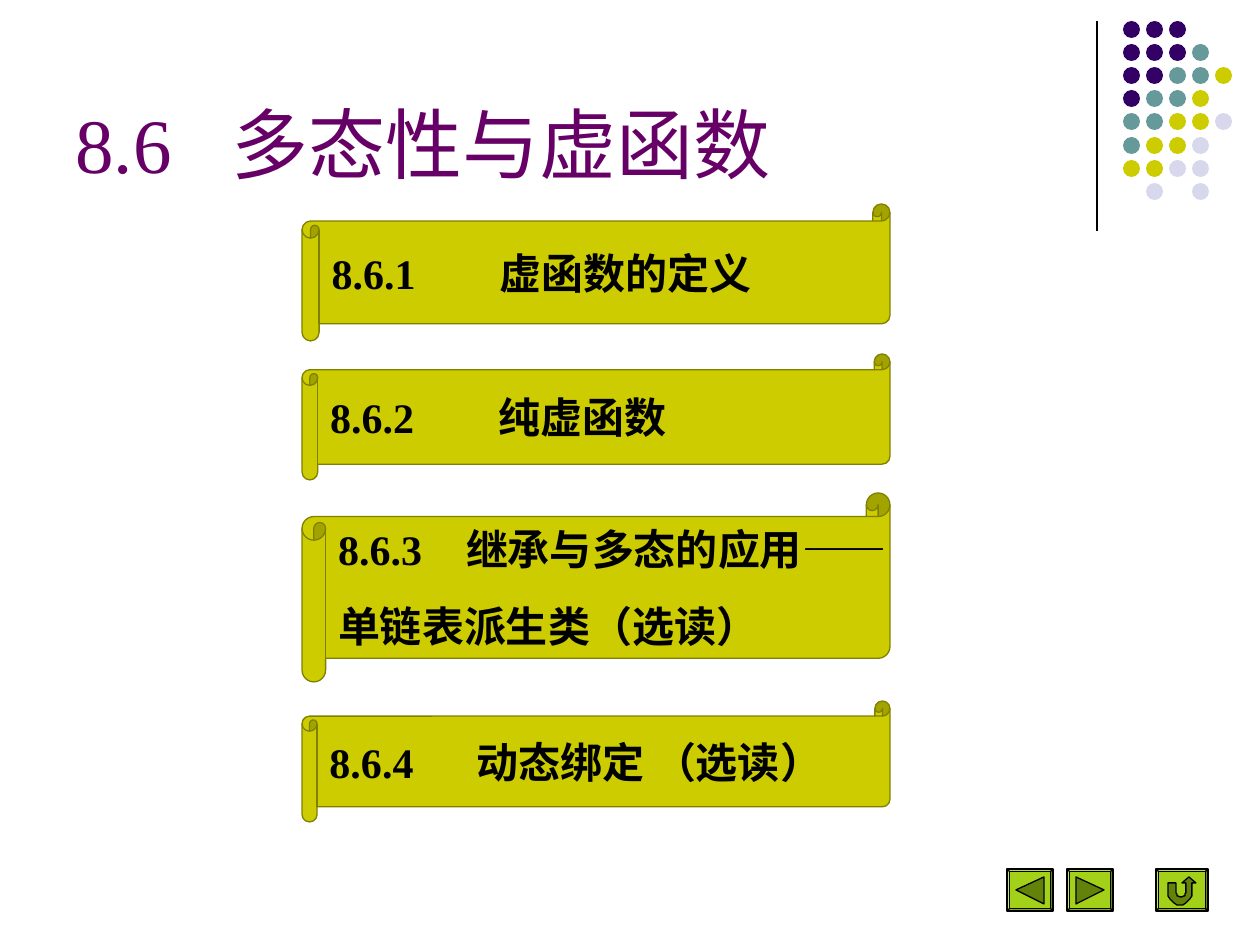
import math

from lxml import etree
from pptx import Presentation
from pptx.dml.color import RGBColor
from pptx.enum.shapes import MSO_CONNECTOR, MSO_SHAPE
from pptx.enum.text import MSO_ANCHOR, PP_ALIGN
from pptx.oxml.ns import qn
from pptx.util import Emu, Pt

STRAIGHT = MSO_CONNECTOR.STRAIGHT
OVAL, SCROLL, BEVEL = MSO_SHAPE.OVAL, MSO_SHAPE.HORIZONTAL_SCROLL, MSO_SHAPE.BEVEL
LEFT, MIDDLE, BOTTOM = PP_ALIGN.LEFT, MSO_ANCHOR.MIDDLE, MSO_ANCHOR.BOTTOM

BLACK = RGBColor(0x00, 0x00, 0x00)
PLUM = RGBColor(0x66, 0x00, 0x66)
OLIVE = RGBColor(0x80, 0x80, 0x00)
YELLOW = RGBColor(0xCC, 0xCC, 0x00)
INDIGO = RGBColor(0x33, 0x00, 0x66)
TEAL = RGBColor(0x66, 0x99, 0x99)
LAVENDER = RGBColor(0xD8, 0xD8, 0xEC)
GREEN = RGBColor(0x99, 0xCC, 0x00)
DARK_GREEN = RGBColor(0x62, 0x82, 0x0A)

SERIF, SANS = "Times New Roman", "Arial"
EMU_PER_PX = 914400 / 126

# One letter per dot, a space where there is none
DOT_ROWS = ["III", "IIIT", "IITTY", "ITTY", "TTYYL", "TYYL", "YYLL", " L L"]
DOT_COLOURS = {"I": INDIGO, "T": TEAL, "Y": YELLOW, "L": LAVENDER}
DOT_PITCH = 23.1

# Top, height, tab stop, paragraphs of (text, font) runs
SECTIONS = [
    (204, 137, 168, [[("8.6.1\t虚函数的定义", SERIF)]]),
    (354, 126, 168, [[("8.6.2\t纯虚函数", SERIF)]]),
    (493, 189, 128, [[("8.6.3\t", SERIF), ("继承与多态的应用——", SANS)],
                     [("单链表派生类（选读）", SANS)]]),
    (701, 121, 147, [[("8.6.4\t动态绑定 ", SERIF), ("（选读）", SANS)]]),
]


def px(length):
    return Emu(round(length * EMU_PER_PX))


def style(shape, fill, line=None):
    shape.shadow.inherit = False
    shape.fill.solid()
    shape.fill.fore_color.rgb = fill
    if line is None:
        shape.line.fill.background()
    else:
        shape.line.color.rgb = line
        shape.line.width = Pt(0.75)


def add_preset(slide, kind, left, top, width, height, fill, line=None):
    shape = slide.shapes.add_shape(kind, px(left), px(top), px(width), px(height))
    style(shape, fill, line)
    return shape


def add_polygon(slide, points, fill, line):
    builder = slide.shapes.build_freeform(*points[0], scale=EMU_PER_PX)
    builder.add_line_segments(points[1:], close=True)
    style(builder.convert_to_shape(), fill, line)


def write_paragraph(paragraph, runs, tab_stop, size, colour, bold=False):
    paragraph.alignment = LEFT
    tabs = etree.SubElement(paragraph._p.get_or_add_pPr(), qn("a:tabLst"))
    etree.SubElement(tabs, qn("a:tab"), pos=str(px(tab_stop)), algn="l")
    for text, font_name in runs:
        run = paragraph.add_run()
        run.text = text
        run.font.name = font_name
        run.font.size = Pt(size)
        run.font.bold = bold
        run.font.color.rgb = colour


def add_dot_pattern(slide):
    rule = slide.shapes.add_connector(STRAIGHT, px(1097), px(21), px(1097), px(231))
    rule.line.color.rgb = BLACK
    rule.line.width = Pt(0.75)
    etree.SubElement(rule._element.spPr, qn("a:effectLst"))
    for row, letters in enumerate(DOT_ROWS):
        for column, letter in enumerate(letters):
            if letter in DOT_COLOURS:
                add_preset(slide, OVAL, 1123 + round(column * DOT_PITCH),
                           21 + round(row * DOT_PITCH), 17, 17, DOT_COLOURS[letter])


def add_title(slide):
    box = slide.shapes.add_textbox(px(63), px(16), px(1040), px(179))
    frame = box.text_frame
    frame.word_wrap = True
    frame.vertical_anchor = BOTTOM
    write_paragraph(frame.paragraphs[0], [("8.6\t多态性与虚函数", SERIF)], 156, 44, PLUM)


def add_section(slide, top, height, tab_stop, paragraphs):
    scroll = add_preset(slide, SCROLL, 302, top, 588, height, YELLOW, OLIVE)
    frame = scroll.text_frame
    frame.word_wrap = False
    frame.vertical_anchor = MIDDLE
    for index, runs in enumerate(paragraphs):
        paragraph = frame.add_paragraph() if index else frame.paragraphs[0]
        write_paragraph(paragraph, runs, tab_stop, 24, BLACK, bold=True)
        if index:
            paragraph.space_before = Pt(15)


def add_button(slide, left, width, symbol):
    button = add_preset(slide, BEVEL, left, 869, width, 42, GREEN, BLACK)
    button.adjustments[0] = 0.06
    colour = button.fill._xPr.find(qn("a:solidFill"))[0]
    etree.SubElement(colour, qn("a:alpha"), val="90000")
    add_polygon(slide, symbol, DARK_GREEN, BLACK)


def half_circle(centre_x, centre_y, radius, start, end):
    return [(centre_x + radius * math.cos(math.radians(angle)),
             centre_y + radius * math.sin(math.radians(angle)))
            for angle in range(start, end, 15 if end > start else -15)]


def return_arrow():
    inner = half_circle(1181, 892, 5, 180, -15)
    outer = half_circle(1180, 893, 12, 0, 195)
    head = [(1186, 883), (1182, 883), (1189, 877), (1196, 883), (1192, 883)]
    return [(1168, 883), (1176, 883)] + inner + head + outer


def main():
    presentation = Presentation()
    presentation.slide_width, presentation.slide_height = px(1260), px(945)
    slide = presentation.slides.add_slide(presentation.slide_layouts[6])

    add_dot_pattern(slide)
    add_title(slide)
    for section in SECTIONS:
        add_section(slide, *section)

    # Navigation: back, forward, return
    add_button(slide, 1007, 46, [(1016, 890), (1044, 877), (1044, 904)])
    add_button(slide, 1067, 46, [(1076, 877), (1104, 890), (1076, 904)])
    add_button(slide, 1156, 52, return_arrow())

    presentation.save("out.pptx")


if __name__ == "__main__":
    main()
